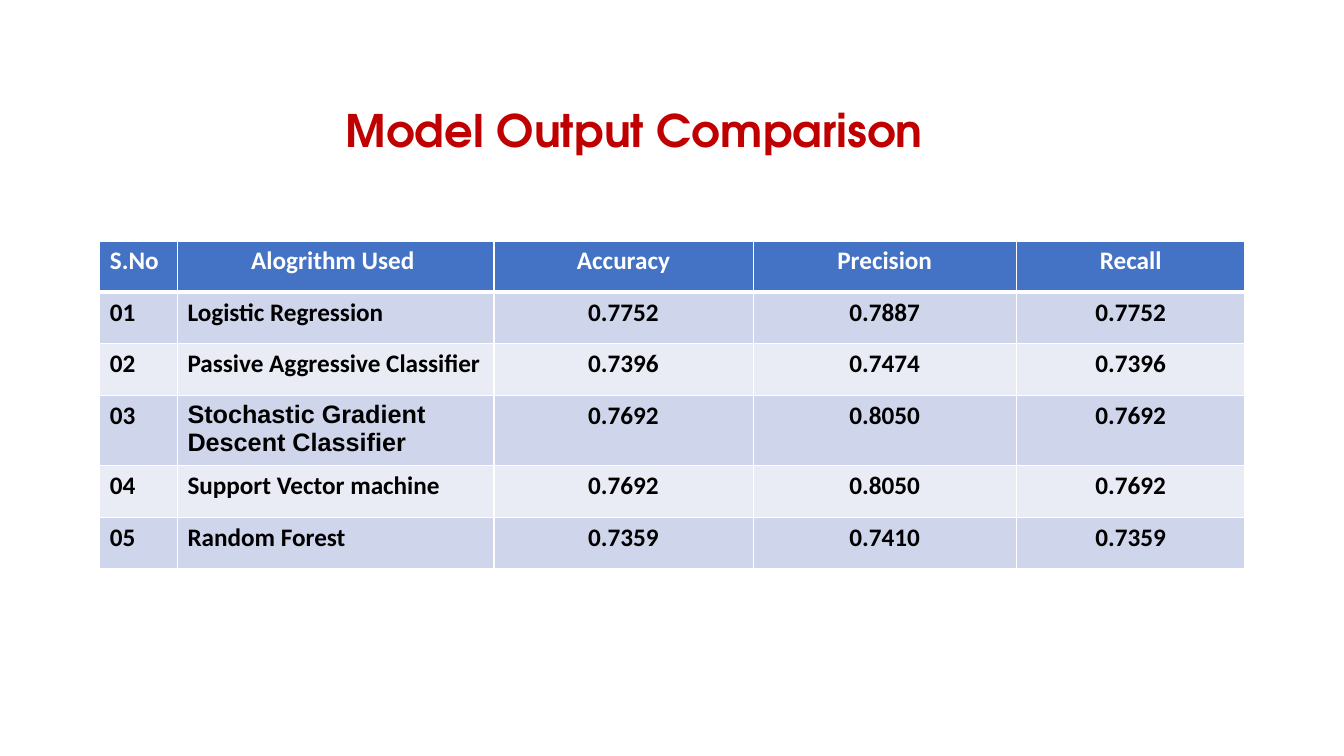
"""Build a slide that compares the scores of five classification models."""
from dataclasses import dataclass

import lxml.etree
import pptx
import pptx.dml.color
import pptx.enum.text
import pptx.oxml.ns
import pptx.util

Inches = pptx.util.Inches
Pt = pptx.util.Pt
Align = pptx.enum.text.PP_ALIGN


@dataclass(frozen=True)
class Theme:
    """Colours, fonts and sizes of the slide."""
    title_color: str = "C00000"
    header_fill: str = "4472C4"
    band_fills: tuple = ("CFD5EA", "E9EBF5")
    header_text: str = "FFFFFF"
    body_text: str = "000000"
    border: str = "FFFFFF"
    title_font: str = "TeX Gyre Adventor"
    table_font: str = "Calibri"
    accent_font: str = "Arial"
    title_size: int = 32
    table_size: int = 18
    thin: int = 1
    thick: int = 3


HEADERS = ["S.No", "Alogrithm Used ", "Accuracy", "Precision", "Recall"]
MODELS = [
    ("Logistic Regression", "0.7752", "0.7887", "0.7752"),
    ("Passive Aggressive Classifier", "0.7396", "0.7474", "0.7396"),
    ("Stochastic Gradient Descent Classifier", "0.7692", "0.8050", "0.7692"),
    ("Support Vector machine", "0.7692", "0.8050", "0.7692"),
    ("Random Forest", "0.7359", "0.7410", "0.7359"),
]
COLUMN_WIDTHS = [0.77, 3.14, 2.57, 2.61, 2.27]
ROW_HEIGHTS = [0.51, 0.51, 0.51, 0.7, 0.51, 0.51]
ACCENT_CELL = (3, 1)


class SlideBuilder:
    """Draw styled elements on one slide."""

    def __init__(self, deck, theme):
        self.theme = theme
        self.slide = deck.slides.add_slide(deck.slide_layouts[5])

    def style(self, para, font, size, color):
        """Format every run of a paragraph in bold."""
        for span in para.runs:
            span.font.name = font
            span.font.size = Pt(size)
            span.font.bold = True
            span.font.color.rgb = pptx.dml.color.RGBColor.from_string(color)

    def title(self, text, left, top, width, height):
        """Place and format the title placeholder."""
        box = self.slide.shapes.title
        box.left, box.top = Inches(left), Inches(top)
        box.width, box.height = Inches(width), Inches(height)
        frame = box.text_frame
        frame.text = text
        frame.word_wrap = False
        frame.auto_size = pptx.enum.text.MSO_AUTO_SIZE.SHAPE_TO_FIT_TEXT
        frame.vertical_anchor = pptx.enum.text.MSO_ANCHOR.TOP
        para = frame.paragraphs[0]
        para.alignment = Align.LEFT
        self.style(para, self.theme.title_font, self.theme.title_size, self.theme.title_color)

    def borders(self, cell, top, bottom):
        """Draw the four sides of a cell."""
        properties = cell._tc.get_or_add_tcPr()
        thin = self.theme.thin
        sides = [("a:lnL", thin), ("a:lnR", thin), ("a:lnT", top), ("a:lnB", bottom)]
        for index, (tag, width) in enumerate(sides):
            line = lxml.etree.Element(pptx.oxml.ns.qn(tag), w=str(Pt(width)))
            fill = lxml.etree.SubElement(line, pptx.oxml.ns.qn("a:solidFill"))
            lxml.etree.SubElement(fill, pptx.oxml.ns.qn("a:srgbClr"), val=self.theme.border)
            properties.insert(index, line)

    def cell(self, cell, text, row, column):
        """Fill, frame and format one table cell."""
        theme = self.theme
        header = row == 0
        fill = theme.header_fill if header else theme.band_fills[(row - 1) % 2]
        cell.fill.solid()
        cell.fill.fore_color.rgb = pptx.dml.color.RGBColor.from_string(fill)
        self.borders(cell, theme.thick if row == 1 else theme.thin,
                     theme.thick if header else theme.thin)
        cell.text_frame.text = text
        para = cell.text_frame.paragraphs[0]
        centred = column > 1 or (header and column == 1)
        para.alignment = Align.CENTER if centred else Align.LEFT
        font = theme.accent_font if (row, column) == ACCENT_CELL else theme.table_font
        self.style(para, font, theme.table_size, theme.header_text if header else theme.body_text)

    def table(self, rows, left, top, widths, heights):
        """Add a banded table with a header row."""
        table = self.slide.shapes.add_table(
            len(rows), len(widths), Inches(left), Inches(top),
            Inches(sum(widths)), Inches(sum(heights))).table
        for column, width in zip(table.columns, widths):
            column.width = Inches(width)
        for row, height in zip(table.rows, heights):
            row.height = Inches(height)
        for row, values in enumerate(rows):
            for column, text in enumerate(values):
                self.cell(table.cell(row, column), text, row, column)


def main():
    """Create the deck and save it."""
    deck = pptx.Presentation()
    deck.slide_width, deck.slide_height = Inches(13.33), Inches(7.5)
    page = SlideBuilder(deck, Theme())
    rows = [HEADERS] + [(f"{number:02d}", *model) for number, model in enumerate(MODELS, 1)]
    page.table(rows, 0.99, 2.39, COLUMN_WIDTHS, ROW_HEIGHTS)
    page.title("Model Output Comparison", 3.33, 0.97, 6.02, 0.64)
    deck.save("out.pptx")


if __name__ == "__main__":
    main()
